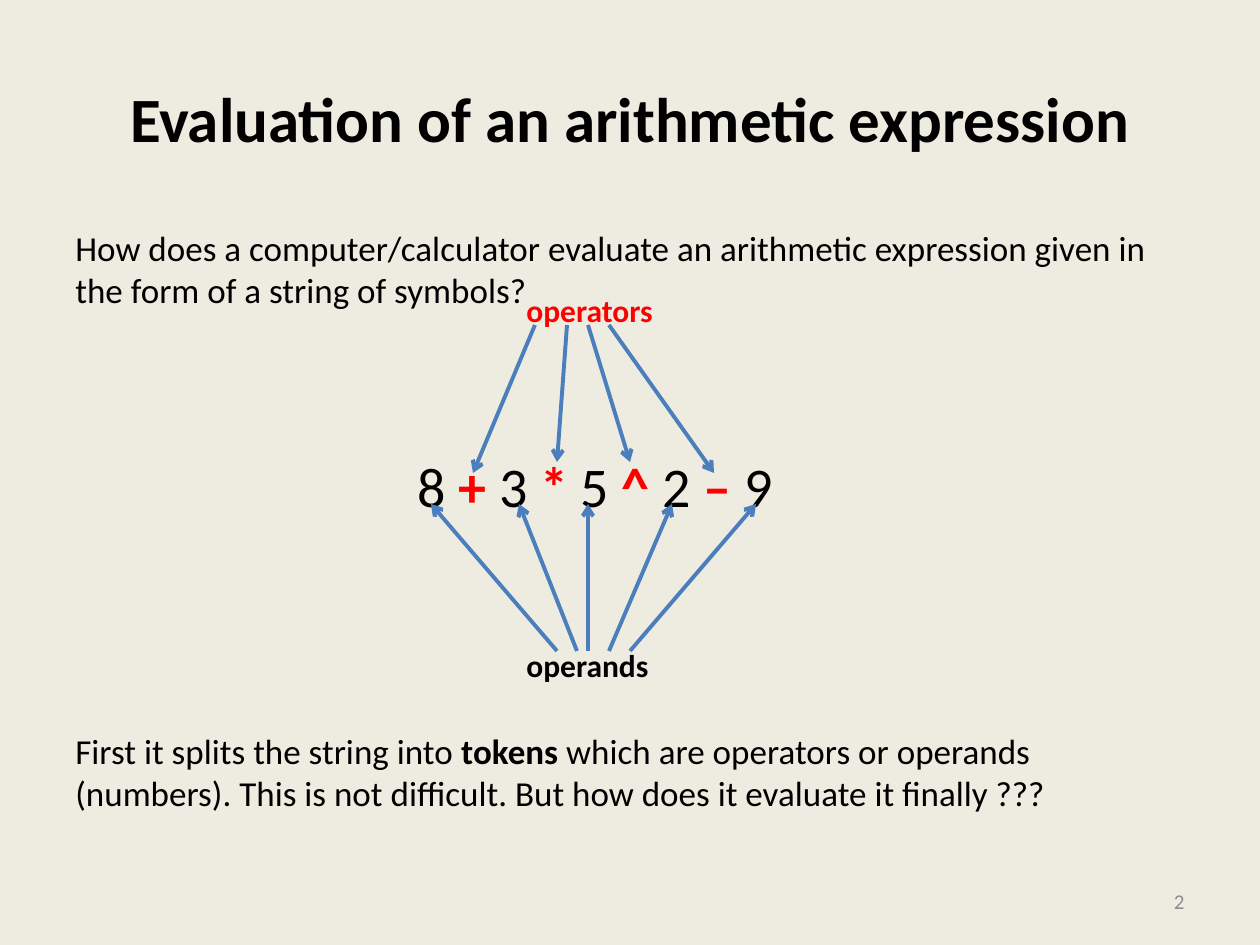
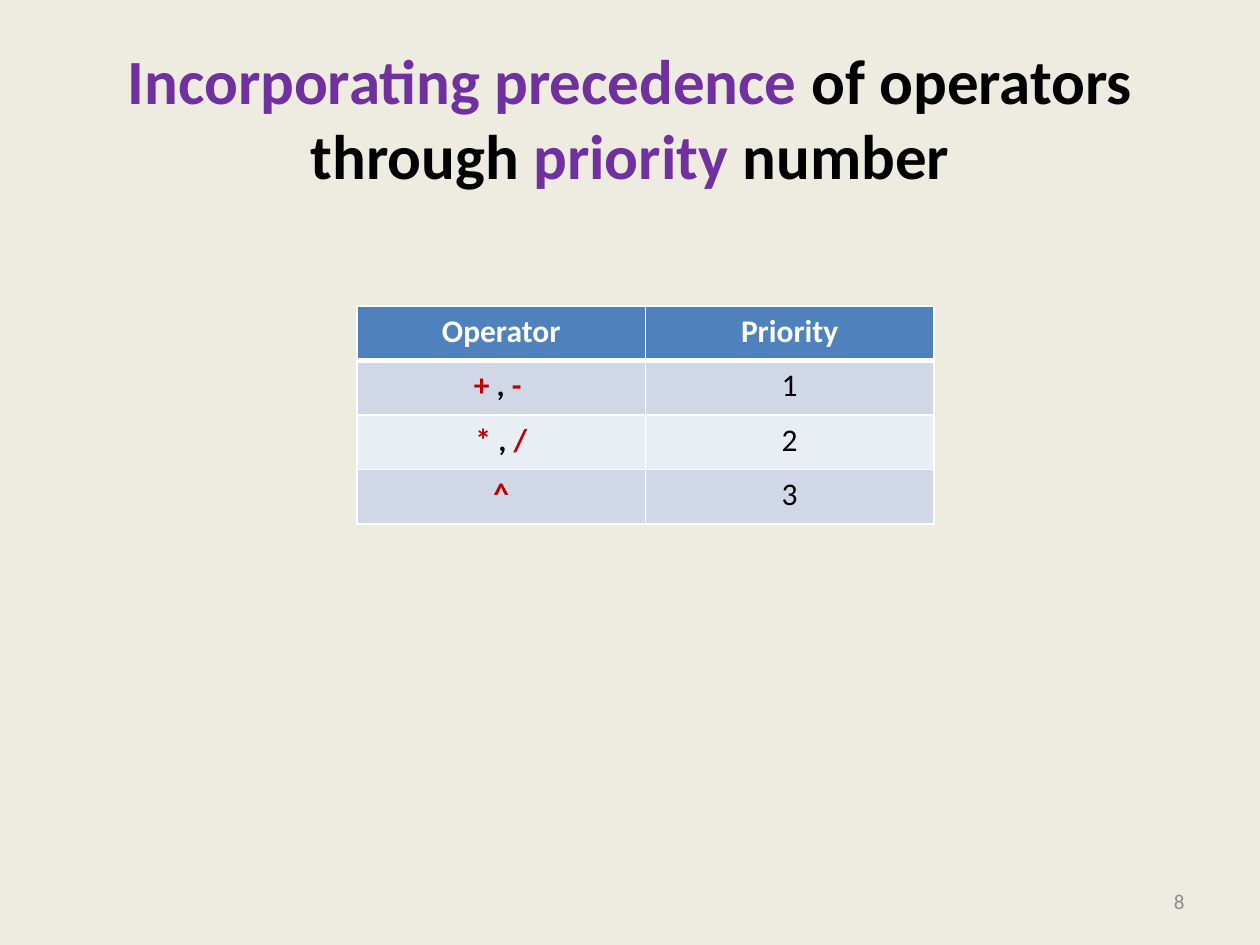
from lxml.etree import SubElement
from pptx import Presentation
from pptx.dml.color import RGBColor
from pptx.enum.shapes import MSO_CONNECTOR
from pptx.enum.text import MSO_ANCHOR as Anchor, MSO_AUTO_SIZE, PP_ALIGN as Align
from pptx.oxml.ns import qn
from pptx.util import Pt

EMU_PER_PX = 914400 / 126
FONT = "Calibri"
PAPER, BLACK, WHITE, GRAY = "EEECE1", "000000", "FFFFFF", "8C8C8C"
RED, DARK_RED, PURPLE, ARROW_BLUE = "FF0000", "C00000", "7030A0", "4B7EBC"
HEADER_FILL, BAND_FILLS = "4F81BD", ("D0D8E8", "E9EDF4")
TITLE_BOX = (63, 38, 1134, 158)
NUMBER_BOX = (903, 876, 294, 50)


def px(*lengths):
    """Turn pixel lengths into EMU."""
    return [round(length * EMU_PER_PX) for length in lengths]


def rgb(color):
    """Turn a hex string into a colour."""
    return RGBColor.from_string(color)


def write_text(frame, runs, size=20, color=BLACK, bold=False, align=Align.LEFT, anchor=Anchor.TOP):
    """Fill a text frame with one paragraph of (text, overrides) runs or a plain string."""
    frame.word_wrap = True
    frame.auto_size = MSO_AUTO_SIZE.NONE
    frame.vertical_anchor = anchor
    write_paragraph(frame.paragraphs[0], runs, size, color, bold, align)


def write_paragraph(paragraph, runs, size, color, bold, align):
    """Write the formatted runs of one paragraph."""
    paragraph.alignment = align
    for text, overrides in [(runs, {})] if isinstance(runs, str) else runs:
        run = paragraph.add_run()
        run.text = text
        run.font.name = FONT
        run.font.size = Pt(size)
        run.font.bold = overrides.get("bold", bold)
        run.font.color.rgb = rgb(overrides.get("color", color))


def add_text(shapes, box, runs, **text_format):
    """Add a text box."""
    write_text(shapes.add_textbox(*px(*box)).text_frame, runs, **text_format)


def add_arrow(shapes, start, end):
    """Add a straight line with an open arrowhead at its end."""
    arrow = shapes.add_connector(MSO_CONNECTOR.STRAIGHT, *px(*start, *end))
    arrow.line.color.rgb = rgb(ARROW_BLUE)
    arrow.line.width = Pt(2.25)
    SubElement(arrow.line._ln, qn("a:tailEnd"), type="arrow")
    SubElement(arrow._element.spPr, qn("a:effectLst"))


def add_titled_slide(presentation, title_runs, number):
    """Add a slide with its title and slide number."""
    slide = presentation.slides.add_slide(presentation.slide_layouts[5])
    title = slide.shapes.title
    title.left, title.top, title.width, title.height = px(*TITLE_BOX)
    write_text(title.text_frame, title_runs, size=36, bold=True,
               align=Align.CENTER, anchor=Anchor.MIDDLE)
    add_text(slide.shapes, NUMBER_BOX, str(number), size=12, color=GRAY,
             align=Align.RIGHT, anchor=Anchor.MIDDLE)
    return slide


def add_arrow_fan(slide, left, top, label, label_y, label_color, start_y, arrows):
    """Group a label with arrows given as (start x, end x, end y)."""
    shapes = slide.shapes.add_group_shape().shapes
    for start_x, end_x, end_y in arrows:
        add_arrow(shapes, (left + start_x, top + start_y), (left + end_x, top + end_y))
    add_text(shapes, (left + 109, top + label_y, 180, 50), label,
             size=18, color=label_color, bold=True)


def add_expression_diagram(slide, left, top):
    """Draw the expression with its operators and operands pointed out."""
    operator_format = {"color": RED, "bold": True}
    runs = [(token if token.isdigit() else f" {token} ",
             {} if token.isdigit() else operator_format) for token in "8+3*5^2–9"]
    add_text(slide.shapes, (left, top + 160, 400, 80), runs, size=32)
    operand_ends = zip((152, 172, 183, 204, 225), (26, 114, 183, 267, 351))
    add_arrow_fan(slide, left, top, "operands", 355, BLACK, 366,
                  [(start, end, 219) for start, end in operand_ends])
    add_arrow_fan(slide, left, top, "operators", 0, RED, 40,
                  [(130, 68, 188), (162, 152, 177), (183, 225, 177), (204, 309, 188)])


def build_expression_slide(presentation):
    """Build the slide on evaluating an expression."""
    slide = add_titled_slide(presentation, "Evaluation of an arithmetic expression", 2)
    add_text(slide.shapes, (63, 220, 1134, 100),
             "How does a computer/calculator evaluate an arithmetic expression given in "
             "the form of a string of symbols?")
    add_expression_diagram(slide, 405, 285)
    add_text(slide.shapes, (63, 723, 1134, 100), [
        ("First it splits the string into ", {}),
        ("tokens", {"bold": True}),
        (" which are operators or operands (numbers). This is not difficult. "
         "But how does it evaluate it finally ???", {}),
    ])


def set_borders(cell, **widths):
    """Give a cell white borders, one point wide unless told otherwise."""
    properties = cell._tc.get_or_add_tcPr()
    for side in "LRTB":
        line = SubElement(properties, qn(f"a:ln{side}"), w=str(Pt(widths.get(side, 1))))
        fill = SubElement(line, qn("a:solidFill"))
        SubElement(fill, qn("a:srgbClr"), val=WHITE)


def add_priority_table(slide, box):
    """Add the table of operators and their priorities."""
    separator = (",", {"color": BLACK})
    rows = [
        ("Operator", "Priority"),
        ([("+ ", {}), separator, (" - ", {})], "1"),
        ([("* ", {}), separator, (" /", {})], "2"),
        ("^", "3"),
    ]
    table = slide.shapes.add_table(len(rows), 2, *px(*box)).table
    for row_index, row in enumerate(rows):
        is_header = row_index == 0
        fill = HEADER_FILL if is_header else BAND_FILLS[(row_index - 1) % 2]
        for column_index, (runs, color) in enumerate(zip(row, (DARK_RED, BLACK))):
            cell = table.cell(row_index, column_index)
            set_borders(cell, T=3 if row_index == 1 else 1, B=3 if is_header else 1)
            cell.fill.solid()
            cell.fill.fore_color.rgb = rgb(fill)
            write_paragraph(cell.text_frame.paragraphs[0], runs, 18,
                            WHITE if is_header else color,
                            is_header or column_index == 0, Align.CENTER)


def build_priority_slide(presentation):
    """Build the slide on operator priorities."""
    purple = {"color": PURPLE}
    slide = add_titled_slide(presentation, [
        ("Incorporating precedence ", purple), ("of operators through ", {}),
        ("priority", purple), (" number", {}),
    ], 8)
    add_priority_table(slide, (357, 306, 577, 218))


def main():
    """Build and save the presentation."""
    presentation = Presentation()
    presentation.slide_width, presentation.slide_height = px(1260, 945)
    background = presentation.slide_master.background.fill
    background.solid()
    background.fore_color.rgb = rgb(PAPER)
    build_expression_slide(presentation)
    build_priority_slide(presentation)
    presentation.save("out.pptx")


if __name__ == "__main__":
    main()
